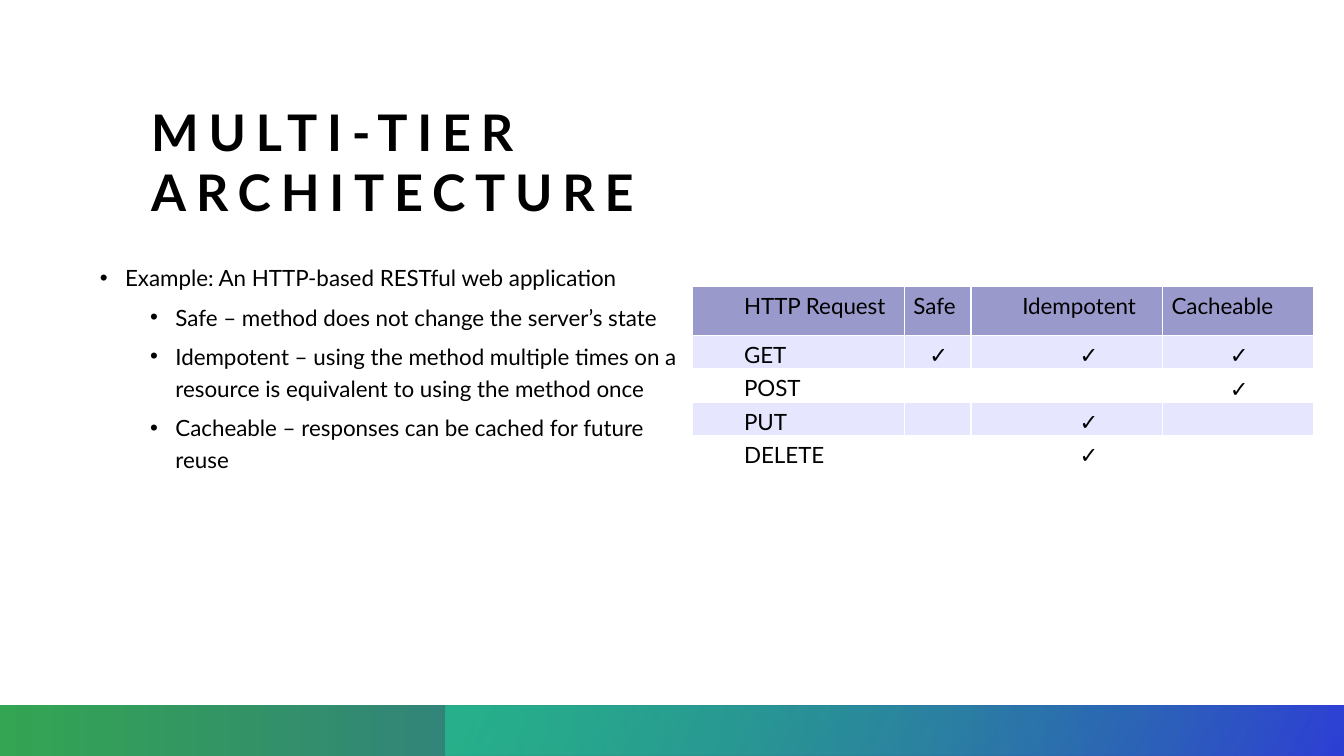
import pptx
import pptx.util
import pptx.dml.color
import pptx.enum.shapes
import pptx.enum.text
import pptx.oxml
import pptx.oxml.ns
import lxml.etree

Inches, Pt = pptx.util.Inches, pptx.util.Pt
RGBColor = pptx.dml.color.RGBColor
ALIGN, ANCHOR = pptx.enum.text.PP_ALIGN, pptx.enum.text.MSO_ANCHOR
BLACK = RGBColor(0x00, 0x00, 0x00)
WHITE = RGBColor(0xFF, 0xFF, 0xFF)
HEADER = RGBColor(0x99, 0x99, 0xCC)
BAND = RGBColor(0xE6, 0xE6, 0xFF)
BLUE = RGBColor(0x2F, 0x38, 0xD9)
GREEN = RGBColor(0x11, 0x96, 0x35)
TEAL = RGBColor(0x23, 0xC3, 0x92)
WIDTH, HEIGHT = 13.33, 7.5
INDENT = 0.25
FONT = "Lato"
TICK = "✓"

BULLETS = [
    (0, "Example: An HTTP-based RESTful web application"),
    (1, "Safe – method does not change the server’s state"),
    (1, "Idempotent – using the method multiple times on a resource is equivalent to using the method once"),
    (1, "Cacheable – responses can be cached for future reuse"),
]
METHODS = [
    ("HTTP Request", "Safe", "Idempotent", "Cacheable"),
    ("GET", TICK, TICK, TICK),
    ("POST", "", "", TICK),
    ("PUT", "", TICK, ""),
    ("DELETE", "", TICK, ""),
]
COLUMNS = [2.1, 0.66, 1.9, 1.5]
ROWS = [0.49] + [0.33] * 4


def assign(obj, values):
    """Set each named attribute of an object."""
    for name, value in values.items():
        setattr(obj, name, value)


def sub(parent, tag, **attrs):
    """Append a DrawingML child element with attributes."""
    return lxml.etree.SubElement(parent, pptx.oxml.ns.qn("a:" + tag), attrs)


def add_run(p, text, size, bold=False):
    """Add a black run in the slide's font."""
    r = p.add_run()
    r.text = text
    assign(r.font, {"name": FONT, "size": Pt(size), "bold": bold})
    r.font.color.rgb = BLACK
    return r


def indent(p, left, first):
    """Give a paragraph its left margin and first-line indent."""
    pPr = p._p.get_or_add_pPr()
    pPr.set("marL", str(Inches(left)))
    pPr.set("indent", str(Inches(first)))
    return pPr


def place(sp, box, anchor):
    """Move a text placeholder to a box and clear its insets."""
    assign(sp, dict(zip(("left", "top", "width", "height"), map(Inches, box))))
    assign(sp.text_frame, {
        "margin_left": 0, "margin_top": 0, "margin_right": 0, "margin_bottom": 0,
        "word_wrap": True, "vertical_anchor": anchor,
        "auto_size": pptx.enum.text.MSO_AUTO_SIZE.NONE})
    return sp.text_frame


def title(s, box):
    """Fill the title placeholder with spaced capitals."""
    p = place(s.shapes.title, box, ANCHOR.BOTTOM).paragraphs[0]
    p.alignment = ALIGN.LEFT
    r = add_run(p, "MULTI-TIER ARCHITECTURE", 36, True)
    r.font._element.set("spc", "700")


def bullet_list(s, box):
    """Fill the body placeholder with the two-level list."""
    tf = place(s.placeholders[1], box, ANCHOR.TOP)
    for i, (level, text) in enumerate(BULLETS):
        p = tf.paragraphs[0] if i == 0 else tf.add_paragraph()
        pPr = indent(p, INDENT * (1 + 2 * level), -INDENT)
        sub(pPr, "buFont", typeface="Arial")
        sub(pPr, "buChar", char="•")
        assign(p, {"level": level, "line_spacing": 1.2, "alignment": ALIGN.LEFT,
                   "space_before": Pt(5 if i else 0), "space_after": Pt(0)})
        add_run(p, text, 16)


def fill_cell(cell, row, col, text):
    """Format one cell and write its text."""
    tcPr = cell._tc.get_or_add_tcPr()
    for side in ("lnL", "lnR", "lnT", "lnB"):
        ln = sub(tcPr, side, w=str(Pt(1)))
        sub(sub(ln, "solidFill"), "srgbClr", val=str(WHITE))
    cell.fill.solid()
    cell.fill.fore_color.rgb = HEADER if row == 0 else BAND if row % 2 else WHITE
    assign(cell, {"margin_left": Inches(0.09), "margin_top": Inches(0.04),
                  "margin_right": Inches(0.07), "margin_bottom": 0,
                  "vertical_anchor": ANCHOR.MIDDLE if text == TICK and row % 2 == 0 else ANCHOR.TOP})
    p = cell.text_frame.paragraphs[0]
    if col % 2 == 0:
        indent(p, 0.66, -0.24)
    assign(p, {"line_spacing": 1.07, "space_after": Pt(3.5),
               "alignment": ALIGN.CENTER if text == TICK else ALIGN.LEFT})
    add_run(p, text, 16)


def method_table(s, left, top):
    """Add the table of request methods and their properties."""
    table = s.shapes.add_table(len(ROWS), len(COLUMNS), Inches(left), Inches(top),
                               Inches(sum(COLUMNS)), Inches(sum(ROWS))).table
    for column, width in zip(table.columns, COLUMNS):
        column.width = Inches(width)
    for row, height in zip(table.rows, ROWS):
        row.height = Inches(height)
    for i, texts in enumerate(METHODS):
        for j, text in enumerate(texts):
            fill_cell(table.cell(i, j), i, j, text)


def gradient_bar(s, box, stops, angle):
    """Add a mirrored bar with a two-stop gradient of given opacities."""
    sp = s.shapes.add_shape(pptx.enum.shapes.MSO_SHAPE.RECTANGLE, *map(Inches, box))
    sp.shadow.inherit = False
    sp.line.fill.background()
    sp._element.spPr.get_or_add_xfrm().set("flipH", "1")
    sp.fill.gradient()
    sp.fill.gradient_angle = angle
    for stop, (position, color, opacity) in zip(sp.fill.gradient_stops, stops):
        stop.position = position
        stop.color.rgb = color
        clr = stop._gs.find(pptx.oxml.ns.qn("a:srgbClr"))
        sub(clr, "alpha", val=str(opacity * 1000))


def footer(s, left, top, width, height):
    """Add the full-width band and the teal band over its right two thirds."""
    inset = width * 0.3315
    gradient_bar(s, (left, top, width, height), [(0, BLUE, 100), (1, GREEN, 85)], 0)
    gradient_bar(s, (left + inset, top, width - inset, height),
                 [(0, TEAL, 5), (0.99, TEAL, 72)], 30)


def main():
    """Build and save the slide."""
    prs = pptx.Presentation()
    prs.slide_width, prs.slide_height = Inches(WIDTH), Inches(HEIGHT)
    s = prs.slides.add_slide(prs.slide_layouts[1])
    title(s, (1.5, 0.5, 5.37, 1.7))
    bullet_list(s, (0.99, 2.57, 5.88, 3.92))
    footer(s, 0, 7, WIDTH, 0.5)
    method_table(s, 6.87, 2.84)
    prs.save("out.pptx")


if __name__ == "__main__":
    main()
